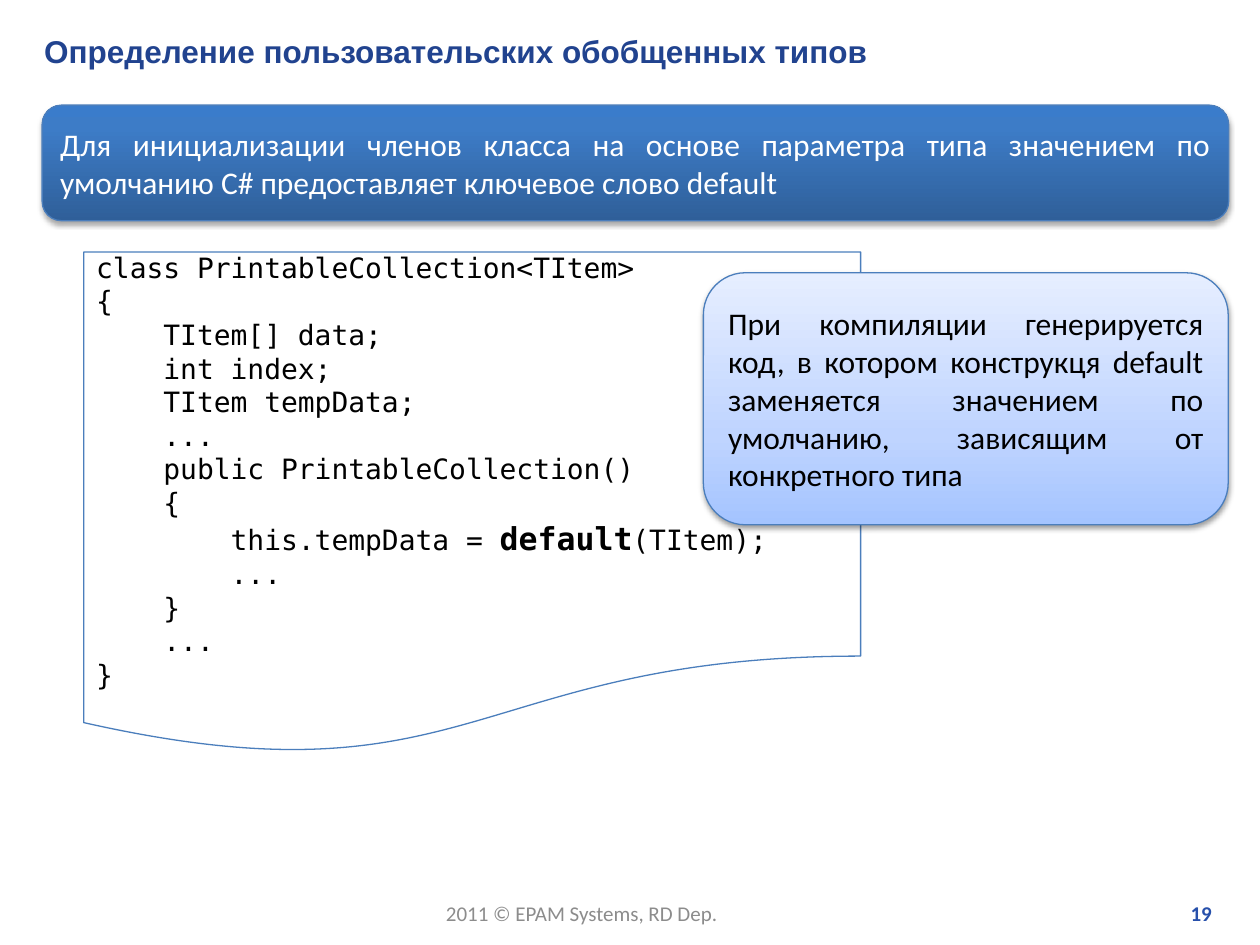
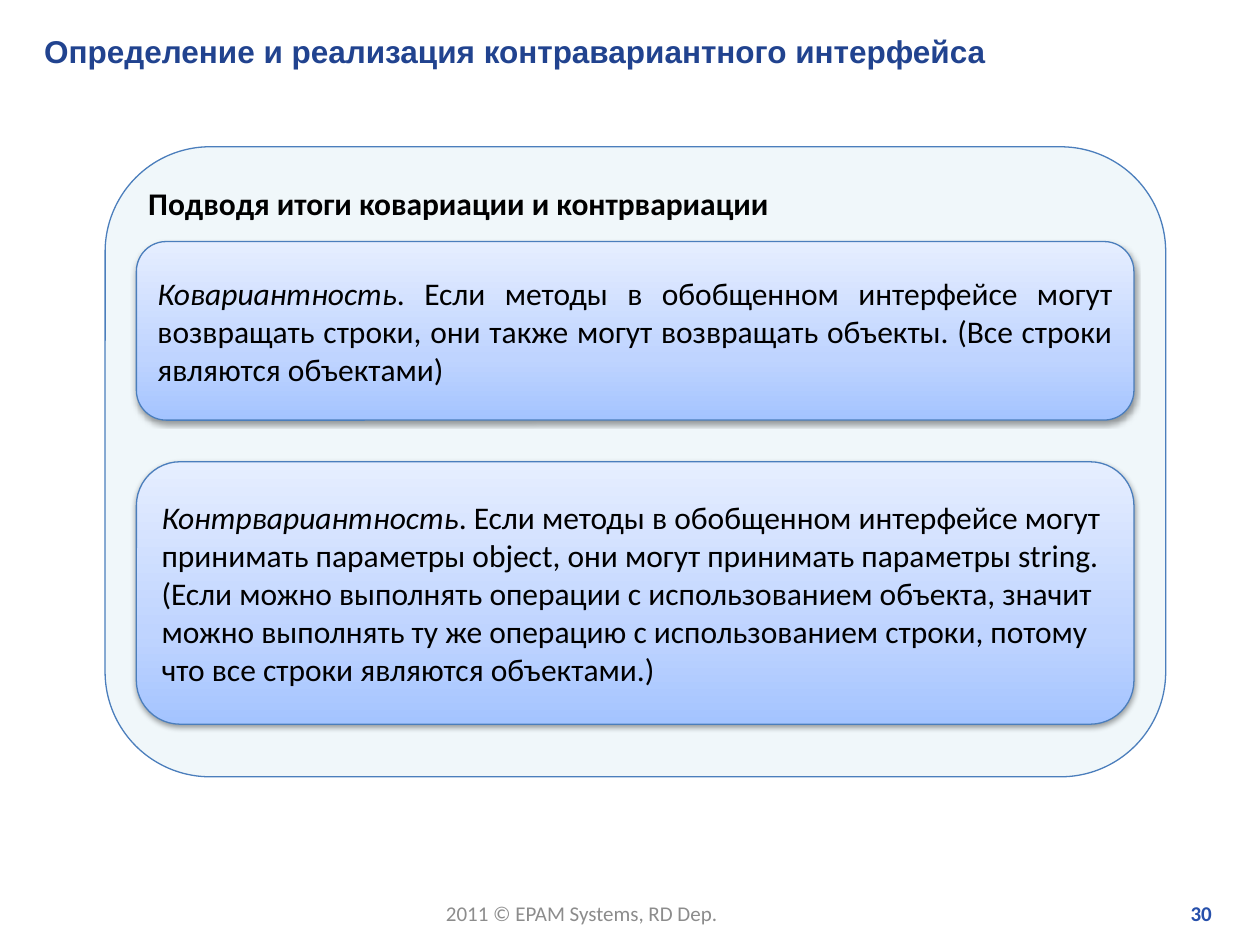
from copy import deepcopy

from lxml.etree import SubElement
from pptx import Presentation
from pptx.dml.color import RGBColor
from pptx.enum.shapes import MSO_SHAPE
from pptx.enum.text import MSO_ANCHOR, PP_ALIGN
from pptx.oxml.ns import qn
from pptx.util import Cm, Pt

HUES = {
    "title": "21438F", "foot": "8C8C8C", "page": "2750AB", "line": "4B7EBC",
    "white": "FFFFFF", "black": "000000", "panel": "F0F7FA",
}
DARK = [(0, "2F5F99"), (0.8, "3D7CC7"), (1, "3A7CCB")]
LIGHT = [(0, "A4C4FF"), (0.35, "BFD4FF"), (1, "E6EEFF")]

CODE = """class PrintableCollection<TItem>
{
    TItem[] data;
    int index;
    TItem tempData;
    ...
    public PrintableCollection()
    {
        this.tempData = default(TItem);
        ...
    }
    ...
}"""


def rgb(name):
    return RGBColor.from_string(HUES[name])


def style(para, size=18, face="Calibri", hue="black", bold=False, align=PP_ALIGN.LEFT):
    para.alignment = align
    font = para.font
    font.size, font.name, font.bold = Pt(size), face, bold
    font.color.rgb = rgb(hue)


def add_run(para, text):
    run = para.add_run()
    run.text = text
    return run


def add_label(slide, box, text, wrap=True, anchor=MSO_ANCHOR.TOP, **look):
    frame = slide.shapes.add_textbox(*map(Cm, box)).text_frame
    frame.word_wrap = wrap
    frame.vertical_anchor = anchor
    para = frame.paragraphs[0]
    add_run(para, text)
    style(para, **look)


def add_frame(slide, kind, box, fill=None):
    shape = slide.shapes.add_shape(kind, *map(Cm, box))
    shape.shadow.inherit = False
    shape.line.color.rgb = rgb("line")
    shape.line.width = Pt(0.75)
    if fill:
        shape.fill.solid()
        shape.fill.fore_color.rgb = rgb(fill)
    shape.text_frame.word_wrap = True
    return shape


def blend(shape, stops):
    shape.fill.gradient()
    shape.fill.gradient_angle = 90
    group = shape._element.spPr.find(qn("a:gradFill")).find(qn("a:gsLst"))
    group.append(deepcopy(group[0]))
    for stop, (place, code) in zip(shape.fill.gradient_stops, stops):
        stop.position = place
        stop.color.rgb = RGBColor.from_string(code)


def shade(shape, alpha, gap):
    effects = shape._element.spPr.find(qn("a:effectLst"))
    outer = SubElement(effects, qn("a:outerShdw"), blurRad=str(Pt(3.1)),
                       dist=str(Pt(gap)), dir="5400000", rotWithShape="0")
    color = SubElement(outer, qn("a:srgbClr"), val=HUES["black"])
    SubElement(color, qn("a:alpha"), val=str(alpha * 1000))


def add_card(slide, box, text, lead="", stops=LIGHT, hue="black",
             alpha=38, gap=1.6, align=PP_ALIGN.JUSTIFY):
    shape = add_frame(slide, MSO_SHAPE.ROUNDED_RECTANGLE, box)
    blend(shape, stops)
    shade(shape, alpha, gap)
    frame = shape.text_frame
    frame.vertical_anchor = MSO_ANCHOR.MIDDLE
    para = frame.paragraphs[0]
    if lead:
        add_run(para, lead).font.italic = True
    add_run(para, text)
    style(para, hue=hue, align=align)
    if align == PP_ALIGN.JUSTIFY:
        para.space_after = Pt(10)


def add_code(slide, box, code, key):
    frame = add_frame(slide, MSO_SHAPE.FLOWCHART_DOCUMENT, box, "white").text_frame
    frame.vertical_anchor = MSO_ANCHOR.MIDDLE
    frame.margin_top = Cm(0.8)
    for num, line in enumerate(code.split("\n")):
        para = frame.add_paragraph() if num else frame.paragraphs[0]
        head, word, tail = line.partition(key)
        add_run(para, head)
        if word:
            font = add_run(para, word).font
            font.size, font.bold = Pt(18), True
            add_run(para, tail)
        style(para, 16, "DejaVu Sans Mono")


def add_panel(slide, box, text):
    frame = add_frame(slide, MSO_SHAPE.ROUNDED_RECTANGLE, box, "panel").text_frame
    frame.vertical_anchor = MSO_ANCHOR.TOP
    para = frame.paragraphs[0]
    add_run(para, text)
    style(para, bold=True)


def add_page(deck, title, num):
    slide = deck.slides.add_slide(deck.slide_layouts[6])
    add_label(slide, (8.74, 18.03, 6.07, 0.76), "2011 © EPAM Systems, RD Dep.",
              wrap=False, size=12, hue="foot")
    add_label(slide, (19.3, 18.03, 5.38, 0.76), str(num), size=12,
              hue="page", bold=True, align=PP_ALIGN.RIGHT)
    add_label(slide, (0.64, 0.51, 24.23, 1.02), title, anchor=MSO_ANCHOR.MIDDLE,
              face="Arial", hue="title", bold=True)
    return slide


def main():
    deck = Presentation()
    deck.slide_width, deck.slide_height = Cm(25.4), Cm(19.05)

    slide = add_page(deck, "Определение пользовательских обобщенных типов", 19)
    add_card(slide, (0.85, 2.12, 23.92, 2.33),
             "Для инициализации членов класса на основе параметра типа значением "
             "по умолчанию C# предоставляет ключевое слово default",
             stops=DARK, hue="white", alpha=35, gap=1.8)
    add_code(slide, (1.69, 5.08, 15.66, 10.16), CODE, "default")
    add_card(slide, (14.18, 5.5, 10.58, 5.08),
             "При компиляции генерируется код, в котором конструкця default "
             "заменяется значением по умолчанию, зависящим от конкретного типа")

    slide = add_page(deck, "Определение и реализация контравариантного интерфейса", 30)
    add_panel(slide, (2.12, 2.96, 21.38, 12.7), "Подводя итоги ковариации и контрвариации")
    add_card(slide, (2.75, 4.87, 20.11, 3.6),
             ". Если методы в обобщенном интерфейсе могут возвращать строки, "
             "они также могут возвращать объекты. (Все строки являются объектами)",
             lead="Ковариантность")
    add_card(slide, (2.75, 9.31, 20.11, 5.29),
             ". Если методы в обобщенном интерфейсе могут принимать параметры object, "
             "они могут принимать параметры string. (Если можно выполнять операции "
             "с использованием объекта, значит можно выполнять ту же операцию "
             "с использованием строки, потому что все строки являются объектами.)",
             lead="Контрвариантность", align=PP_ALIGN.LEFT)

    deck.save("out.pptx")


if __name__ == "__main__":
    main()
